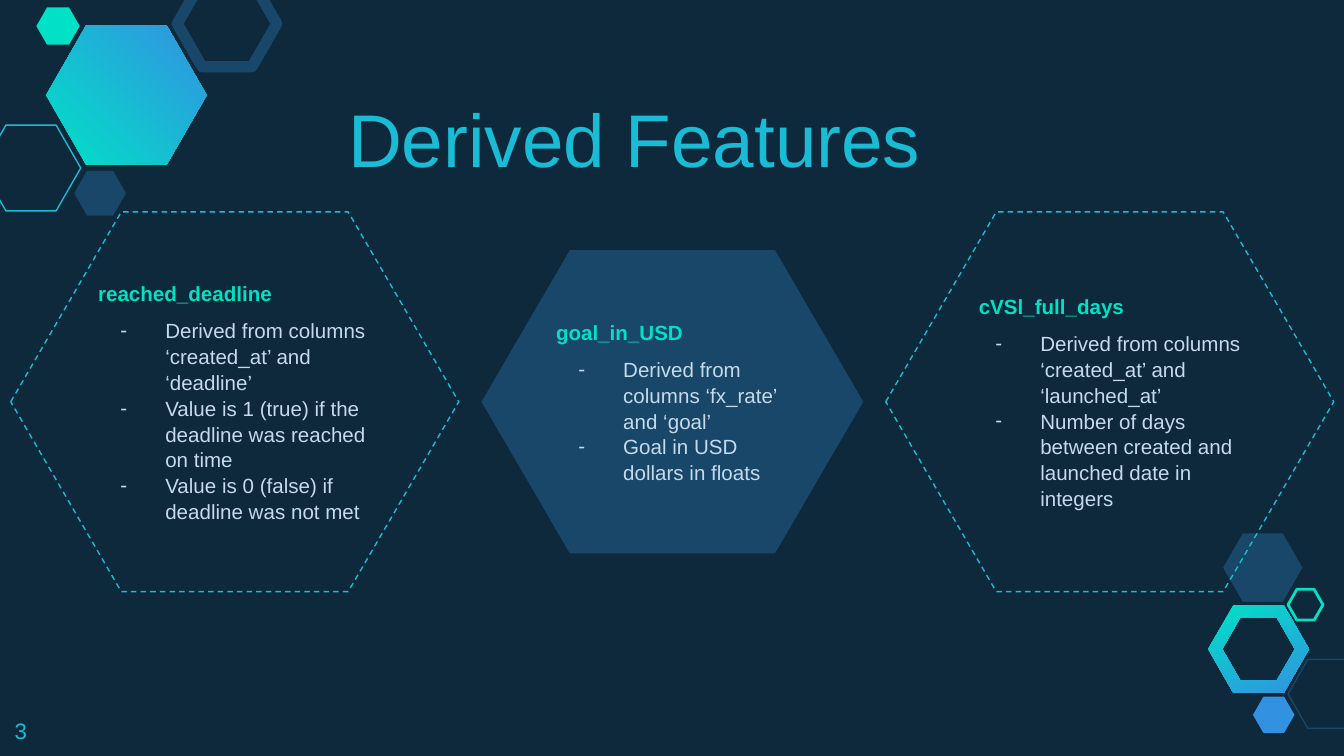
from lxml import etree
from pptx import Presentation
from pptx.dml.color import RGBColor
from pptx.enum import dml, shapes, text
from pptx.oxml import ns
from pptx.util import Pt

NAVY, BLUE, SKY = "0E293C", "184769", "3292E1"
CYAN, MINT, PALE = "19BBD5", "00E1C6", "C6DAEC"
FONT = "Arial"

TITLE = "Derived Features"
PAGE = "3"

# heading, bullets, box (left, top, width, height), look
DASHED = {"line": CYAN, "weight": 0.75, "dashed": True}
FEATURES = [
    ("goal_in_USD",
     ["Derived from columns ‘fx_rate’ and ‘goal’",
      "Goal in USD dollars in floats"],
     (258, 134, 204.5, 162.5), {"fill": BLUE}),
    ("reached_deadline",
     ["Derived from columns ‘created_at’ and ‘deadline’",
      "Value is 1 (true) if the deadline was reached on time",
      "Value is 0 (false) if deadline was not met"],
     (5.75, 113.5, 240, 203.5), DASHED),
    (" cVSl_full_days",
     ["Derived from columns ‘created_at’ and ‘launched_at’",
      "Number of days between created and launched date in integers"],
     (474.5, 113.5, 240, 203.5), DASHED),
]

# box, look
DECORATION = [
    ((24.75, 13.75, 86, 74.5), {"gradient": (MINT, SKY, 45)}),
    ((-10, 67, 53.25, 46), {"line": CYAN, "weight": 0.75}),
    ((39.75, 91.5, 27.75, 24), {"fill": BLUE}),
    ((95, -10.25, 53.25, 46), {"line": BLUE, "weight": 6}),
    ((19.5, 4, 23.25, 20), {"fill": MINT}),
    ((690, 353.25, 42.5, 37), {"line": BLUE, "weight": 0.75}),
    ((671.25, 373.25, 22.25, 19.5), {"fill": SKY}),
    ((655.25, 285.75, 42.5, 36.75), {"fill": BLUE}),
    ((690, 315.75, 18.75, 16.5), {"line": MINT, "weight": 1.5}),
]
RING_CENTER, RING_HALF, RING_HOLE = (674.25, 347.75), (27, 23.5), 0.72


def rgb(value):
    return RGBColor.from_string(value)


def style(shape, fill=None, gradient=None, line=None, weight=1, dashed=False):
    shape.shadow.inherit = False
    if gradient:
        start, end, angle = gradient
        shape.fill.gradient()
        shape.fill.gradient_angle = angle
        for stop, color, position in zip(shape.fill.gradient_stops, (start, end), (0, 1)):
            stop.color.rgb = rgb(color)
            stop.position = position
    elif fill:
        shape.fill.solid()
        shape.fill.fore_color.rgb = rgb(fill)
    else:
        shape.fill.background()
    if line:
        shape.line.color.rgb = rgb(line)
        shape.line.width = Pt(weight)
        if dashed:
            shape.line.dash_style = dml.MSO_LINE.DASH
    else:
        shape.line.fill.background()


def add_hexagon(slide, box, look, inset=0.287):
    hexagon = slide.shapes.add_shape(shapes.MSO_SHAPE.HEXAGON, *map(Pt, box))
    hexagon.adjustments[0] = inset
    style(hexagon, **look)
    return hexagon


def add_ring(slide, center, half, hole):
    def corners(scale, turn):
        """Hexagon corners; turn is 1 or -1 for the winding direction."""
        w, h = half[0] * scale, half[1] * scale
        unit = [(-1, 0), (-0.5, -turn), (0.5, -turn), (1, 0), (0.5, turn), (-0.5, turn)]
        return [(Pt(center[0] + x * w), Pt(center[1] + y * h)) for x, y in unit]

    outer, inner = corners(1, 1), corners(hole, -1)
    builder = slide.shapes.build_freeform(*outer[0])
    builder.add_line_segments(outer[1:], close=True)
    builder.move_to(*inner[0])
    builder.add_line_segments(inner[1:], close=True)
    style(builder.convert_to_shape(), gradient=(MINT, SKY, 296))


def prepare(frame, anchor):
    frame.word_wrap = True
    frame.auto_size = text.MSO_AUTO_SIZE.NONE
    frame.vertical_anchor = anchor
    frame.margin_left = frame.margin_right = Pt(7.2)
    frame.margin_top = frame.margin_bottom = Pt(7.2)


def write(frame, words, size=11, color=PALE, bold=False, before=0, spacing=1, bullet=None):
    """Fill the frame's empty first paragraph, or append a new one."""
    paragraph = frame.add_paragraph() if frame.text else frame.paragraphs[0]
    paragraph.alignment = text.PP_ALIGN.LEFT
    paragraph.space_before = Pt(before)
    paragraph.line_spacing = spacing
    run = paragraph.add_run()
    run.text = words
    run.font.name, run.font.size, run.font.bold = FONT, Pt(size), bold
    run.font.color.rgb = rgb(color)
    if bullet:
        props = paragraph._p.get_or_add_pPr()
        props.set("marL", str(Pt(36)))
        props.set("indent", str(Pt(-24)))
        tint = etree.SubElement(props, ns.qn("a:buClr"))
        etree.SubElement(tint, ns.qn("a:srgbClr"), val=color)
        etree.SubElement(props, ns.qn("a:buFont"), typeface=FONT)
        etree.SubElement(props, ns.qn("a:buChar"), char=bullet)


def add_feature(slide, heading, bullets, box, look):
    frame = add_hexagon(slide, box, look, inset=0.291).text_frame
    prepare(frame, text.MSO_ANCHOR.MIDDLE)
    write(frame, heading, color=MINT, bold=True, before=6, spacing=1.05)
    for i, words in enumerate(bullets):
        write(frame, words, before=0 if i else 6, spacing=1.05, bullet="-")


def main():
    deck = Presentation()
    deck.slide_width, deck.slide_height = Pt(720), Pt(405)
    slide = deck.slides.add_slide(deck.slide_layouts[5])
    slide.background.fill.solid()
    slide.background.fill.fore_color.rgb = rgb(NAVY)

    add_ring(slide, RING_CENTER, RING_HALF, RING_HOLE)
    for box, look in DECORATION:
        add_hexagon(slide, box, look)
    for feature in FEATURES:
        add_feature(slide, *feature)

    title = slide.shapes.title
    title.left, title.top, title.width, title.height = map(Pt, (179.25, 54, 362, 51))
    prepare(title.text_frame, text.MSO_ANCHOR.BOTTOM)
    write(title.text_frame, TITLE, size=40, color=CYAN)

    page = slide.shapes.add_textbox(*map(Pt, (0.75, 376.75, 43, 28))).text_frame
    prepare(page, text.MSO_ANCHOR.TOP)
    write(page, PAGE, size=12, color=CYAN)
    deck.save("out.pptx")


if __name__ == "__main__":
    main()
